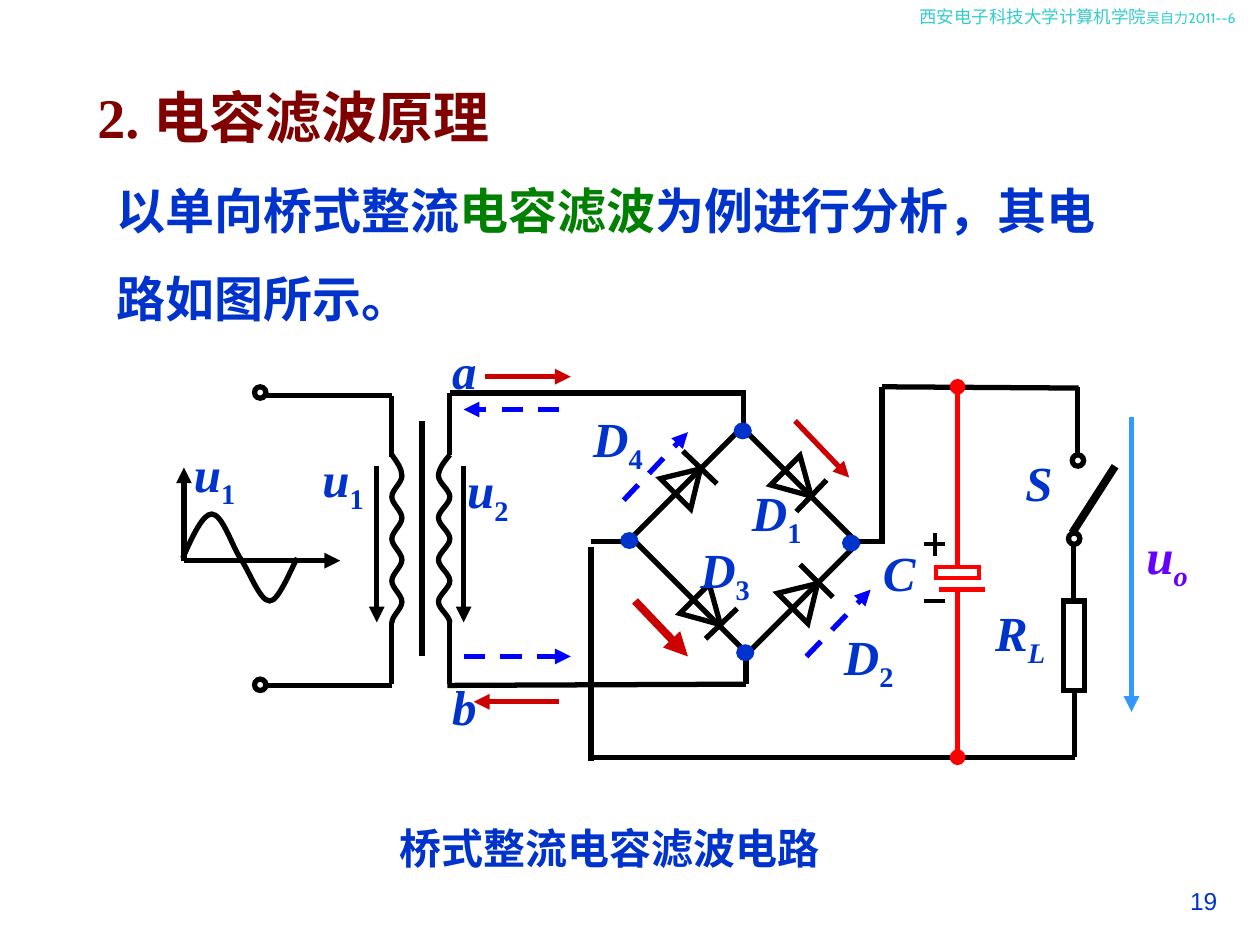
from lxml import etree
from pptx import Presentation
from pptx import util as u
from pptx.dml.color import RGBColor
from pptx.enum import dml, shapes, text
from pptx.oxml.ns import qn

COLORS = {
    "teal": "33CCCC", "blue": "0033CC", "green": "008000", "maroon": "800000",
    "black": "000000", "dash": "0000FF", "crimson": "CC0000", "red": "FF0000",
    "sky": "3399FF", "violet": "6600FF",
}
SERIF = "Times New Roman"
SHAPE = shapes.MSO_SHAPE

# Wire ends in inches
WIRES = [
    ((2.11, 3.14), (3.11, 3.14)), ((3.11, 3.14), (3.11, 3.63)),
    ((2.11, 5.44), (3.11, 5.44)), ((3.11, 4.94), (3.11, 5.43)),
    ((3.35, 3.34), (3.35, 5.21)),
    ((3.57, 3.12), (5.92, 3.12)), ((3.57, 3.12), (3.57, 3.61)),
    ((3.55, 5.44), (5.92, 5.43)), ((3.57, 4.94), (3.57, 5.43)),
    ((5.9, 3.12), (5.9, 3.38)), ((5.92, 5.43), (5.92, 5.21)),
    ((5.06, 4.3), (4.69, 4.3)), ((4.69, 4.34), (4.69, 6.04)),
    ((4.67, 6.01), (8.53, 6.01)), ((8.53, 6.01), (8.53, 5.48)),
    ((6.78, 4.3), (7, 4.3)), ((7, 3.07), (7, 4.32)),
    ((7, 3.07), (8.56, 3.08)), ((8.55, 3.07), (8.55, 3.6)),
    ((8.52, 4.77), (8.52, 4.31)),
]
# Diodes: triangle box, rotation, then the ends of the cathode bar
DIODES = [
    ((5.29, 3.68, 0.34, 0.28), 45, [(5.42, 3.58), (5.69, 3.84)]),
    ((6.22, 4.59, 0.34, 0.28), 45, [(6.35, 4.48), (6.61, 4.74)]),
    ((6.17, 3.69, 0.33, 0.29), 135, [(6.56, 3.81), (6.32, 4.06)]),
    ((5.45, 4.71, 0.33, 0.29), 135, [(5.85, 4.83), (5.6, 5.07)]),
]
# Start point, then two control points and an end point for each arc
SINE_WAVE = [
    (1.45, 4.43), (1.53, 4.25), (1.61, 4.08), (1.68, 4.08),
    (1.76, 4.08), (1.83, 4.3), (1.9, 4.42), (1.98, 4.53), (2.06, 4.77),
    (2.14, 4.77), (2.21, 4.78), (2.32, 4.49), (2.36, 4.43),
]
POSITIVE_CURRENT = [
    ((3.85, 2.99), (4.53, 2.99), 3),
    ((4.44, 5.57), (3.76, 5.57), 3),
    ((5.04, 4.77), (5.46, 5.21), 4.5),
    ((6.31, 3.34), (6.74, 3.79), 3),
]
NEGATIVE_CURRENT = [
    ((4.44, 3.25), (3.68, 3.25)),
    ((3.68, 5.21), (4.53, 5.21)),
    ((6.4, 5.21), (6.91, 4.68)),
    ((4.95, 3.97), (5.46, 3.43)),
]
VOLTAGES = [
    ((1.46, 4.45), (1.46, 3.71), "black"),
    ((1.46, 4.45), (2.7, 4.45), "black"),
    ((2.99, 3.7), (2.99, 4.94), "black"),
    ((3.68, 3.7), (3.68, 4.94), "black"),
    ((8.98, 3.31), (8.98, 5.65), "sky"),
]
TERMINALS = [(2.02, 3.07), (2.02, 5.39), (8.48, 4.23), (8.51, 3.61)]
NODES = [(5.85, 5.12), (6.69, 4.25), (4.93, 4.23), (5.83, 3.36)]
# Labels with a subscript: symbol, subscript, left, top, width
SUBSCRIPTED = [
    ("u", "1", 1.44, 3.47, 0.63), ("u", "1", 2.46, 3.51, 0.63),
    ("u", "2", 3.61, 3.6, 0.63), ("D", "1", 5.87, 3.78, 0.63),
    ("D", "2", 6.6, 4.92, 0.63), ("D", "3", 5.46, 4.23, 0.63),
    ("D", "4", 4.61, 3.19, 0.63), ("R", "L", 7.8, 4.73, 1.15),
    ("u", "o", 9, 4.12, 1),
]
SYMBOLS = [("a", 3.49, 2.65, 0.39), ("b", 3.49, 5.32, 0.39),
           ("S", 8.04, 3.54, 0.41), ("C", 6.91, 4.26, 0.46)]


def cm(inches):
    return u.Cm(inches * 2.54)


def rgb(name):
    return RGBColor.from_string(COLORS[name])


def add_text(slide, box, runs, size=28, color="blue", font=SERIF, bold=True,
             italic=False, align=None, middle=False, wrap=True, grow=True,
             spacing=None):
    """Each run is a (text, overrides) pair; overrides: size, color, italic, baseline."""
    frame = slide.shapes.add_textbox(*map(cm, box)).text_frame
    frame.word_wrap = wrap
    frame.auto_size = (text.MSO_AUTO_SIZE.SHAPE_TO_FIT_TEXT if grow
                       else text.MSO_AUTO_SIZE.NONE)
    if middle:
        frame.vertical_anchor = text.MSO_ANCHOR.MIDDLE
    paragraph = frame.paragraphs[0]
    paragraph.alignment = align
    paragraph.line_spacing = spacing
    for words, own in runs:
        run = paragraph.add_run()
        run.text = words
        run.font.name = font
        run.font.size = u.Pt(own.get("size", size))
        run.font.bold = bold
        run.font.italic = own.get("italic", italic)
        run.font.color.rgb = rgb(own.get("color", color))
        if "baseline" in own:
            run._r.get_or_add_rPr().set("baseline", str(own["baseline"] * 1000))


def add_line(slide, start, end, color="black", width=3, tip=None, dashed=False):
    line = slide.shapes.add_connector(
        shapes.MSO_CONNECTOR.STRAIGHT, *map(cm, (*start, *end)))
    line.line.color.rgb = rgb(color)
    line.line.width = u.Pt(width)
    if dashed:
        line.line.dash_style = dml.MSO_LINE.DASH
    if tip:
        etree.SubElement(line.line._get_or_add_ln(), qn("a:tailEnd"), type=tip)
    etree.SubElement(line._element.spPr, qn("a:effectLst"))


def style_outline(shape, color, width, fill=None):
    shape.shadow.inherit = False
    shape.line.color.rgb = rgb(color)
    shape.line.width = u.Pt(width)
    etree.SubElement(shape.line._get_or_add_ln(), qn("a:miter"), lim="800000")
    if fill:
        shape.fill.solid()
        shape.fill.fore_color.rgb = rgb(fill)
    else:
        shape.fill.background()


def add_part(slide, kind, box, color="black", width=3, fill=None, rotation=0):
    part = slide.shapes.add_shape(kind, *map(cm, box))
    part.rotation = rotation
    style_outline(part, color, width, fill)


def add_curve(slide, points):
    """Draw an open Bezier curve: a start, then three points for each arc."""
    start, *rest = [tuple(map(cm, point)) for point in points]
    builder = slide.shapes.build_freeform(*start)
    builder.add_line_segments(rest, close=False)
    curve = builder.convert_to_shape()
    outline = next(curve._element.iter(qn("a:path")))
    segments = outline.findall(qn("a:lnTo"))
    for i in range(0, len(segments), 3):
        arc = etree.SubElement(outline, qn("a:cubicBezTo"))
        for segment in segments[i:i + 3]:
            arc.append(segment[0])
            outline.remove(segment)
    style_outline(curve, "black", 3)


def add_coil(slide, x, bulge, top=3.61, arcs=8, pitch=1 / 6):
    points = [(x, top)]
    for i in range(arcs):
        near, far = (x, x + bulge) if i % 2 == 0 else (x + bulge, x)
        y = top + i * pitch
        points += [((near + far) / 2 if i == 0 else near, y + pitch / 3),
                   (far, y + pitch * 2 / 3), (far, y + pitch)]
    add_curve(slide, points)


def draw_circuit(slide):
    for start, end in WIRES:
        add_line(slide, start, end)
    add_coil(slide, 3.11, 0.08)
    add_coil(slide, 3.57, -0.09)
    add_curve(slide, SINE_WAVE)
    add_part(slide, SHAPE.RECTANGLE, (5.26, 3.67, 1.3, 1.24), rotation=45)
    for box, rotation, bar in DIODES:
        add_line(slide, *bar)
        add_part(slide, SHAPE.ISOSCELES_TRIANGLE, box, rotation=rotation)
    for left, top in TERMINALS:
        add_part(slide, SHAPE.OVAL, (left, top, 0.09, 0.09))
    add_part(slide, SHAPE.RECTANGLE, (8.44, 4.77, 0.17, 0.71))
    add_line(slide, (8.51, 4.23), (8.85, 3.7), width=4.5)
    for start, end, color in VOLTAGES:
        add_line(slide, start, end, color, tip="triangle")
    for start, end, width in POSITIVE_CURRENT:
        add_line(slide, start, end, "crimson", width, "triangle")
    for start, end in NEGATIVE_CURRENT:
        add_line(slide, start, end, "dash", tip="triangle", dashed=True)


def draw_capacitor(slide):
    add_part(slide, SHAPE.RECTANGLE, (7.43, 4.5, 0.34, 0.09), "red", 2.25)
    add_line(slide, (7.45, 4.68), (7.82, 4.68), "red")
    add_line(slide, (7.6, 4.68), (7.6, 6.01), "red", tip="oval")
    add_line(slide, (7.6, 4.5), (7.6, 3.07), "red", tip="oval")
    for y in (4.32, 4.77):
        add_line(slide, (7.33, y), (7.5, y), width=2.25)
    add_line(slide, (7.42, 4.23), (7.42, 4.41), width=2.25)


def add_labels(slide):
    for symbol, index, left, top, width in SUBSCRIPTED:
        add_text(slide, (left, top, width, 0.63),
                 [(symbol, {}),
                  (index, {"baseline": -25, "italic": index.isalpha()})],
                 italic=True, color="violet" if index == "o" else "blue")
    for symbol, left, top, width in SYMBOLS:
        add_text(slide, (left, top, width, 0.57), [(symbol, {})],
                 italic=True, wrap=False)


def main():
    deck = Presentation()
    deck.slide_width, deck.slide_height = cm(10), cm(7.5)
    slide = deck.slides.add_slide(deck.slide_layouts[6])
    add_text(slide, (7.2, 0, 2.8, 0.27),
             [("西安电子科技大学计算机学院", {}), ("吴自力2011--6", {"size": 8})],
             size=10, color="teal", font="Cabin", bold=False)
    add_text(slide, (0.83, 1.15, 8.21, 1.5),
             [("以单向桥式整流", {}), ("电容滤波", {"color": "green"}),
              ("为例进行分析，其电路如图所示。", {})], middle=True, spacing=1.5)
    add_text(slide, (0.62, 0.6, 3.42, 0.64), [("2. 电容滤波原理", {})], size=32,
             color="maroon", align=text.PP_ALIGN.CENTER, middle=True, wrap=False)
    draw_circuit(slide)
    draw_capacitor(slide)
    for left, top in NODES:
        add_part(slide, SHAPE.OVAL, (left, top, 0.13, 0.12), "blue", 1, "blue")
    add_labels(slide)
    add_text(slide, (3.07, 6.48, 3.53, 0.5), [("桥式整流电容滤波电路", {})],
             size=24, wrap=False)
    add_text(slide, (9.17, 6.98, 0.59, 0.44), [("19", {})], size=14, font="Arial",
             bold=False, align=text.PP_ALIGN.RIGHT, grow=False)
    deck.save("out.pptx")


if __name__ == "__main__":
    main()
